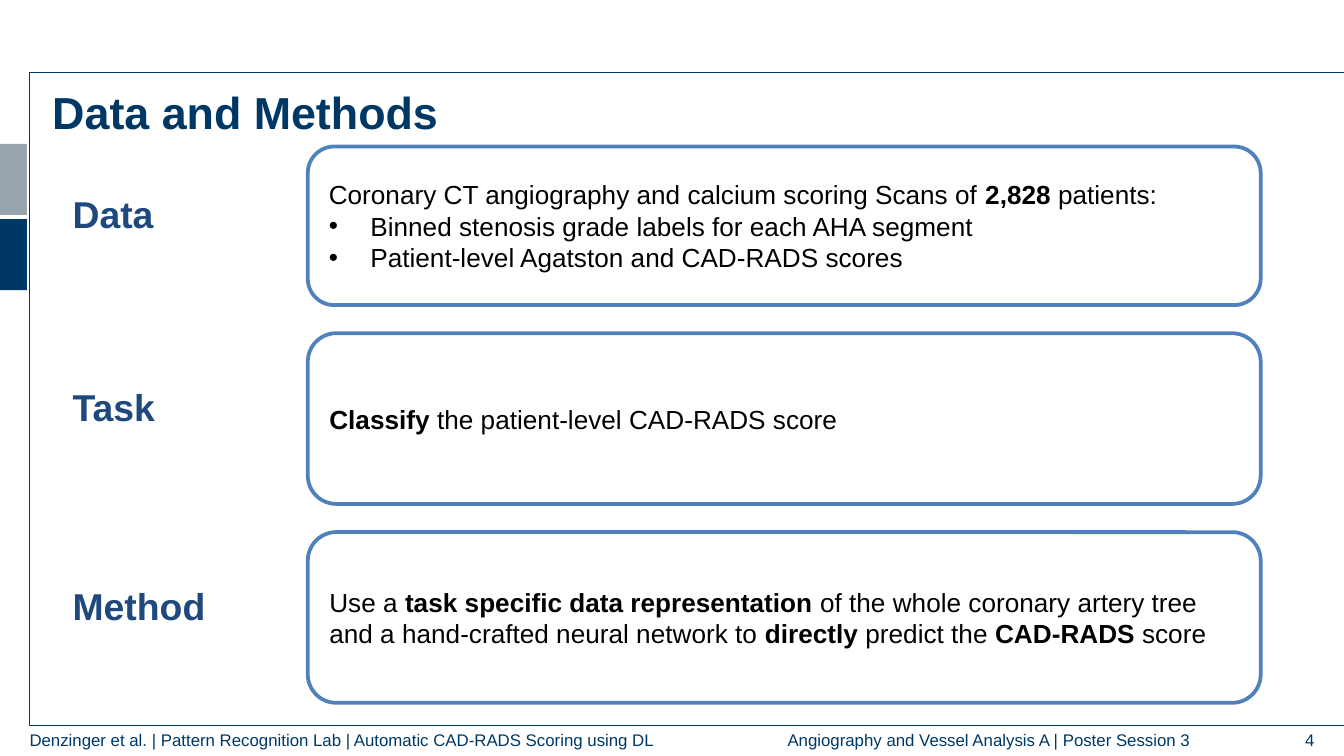
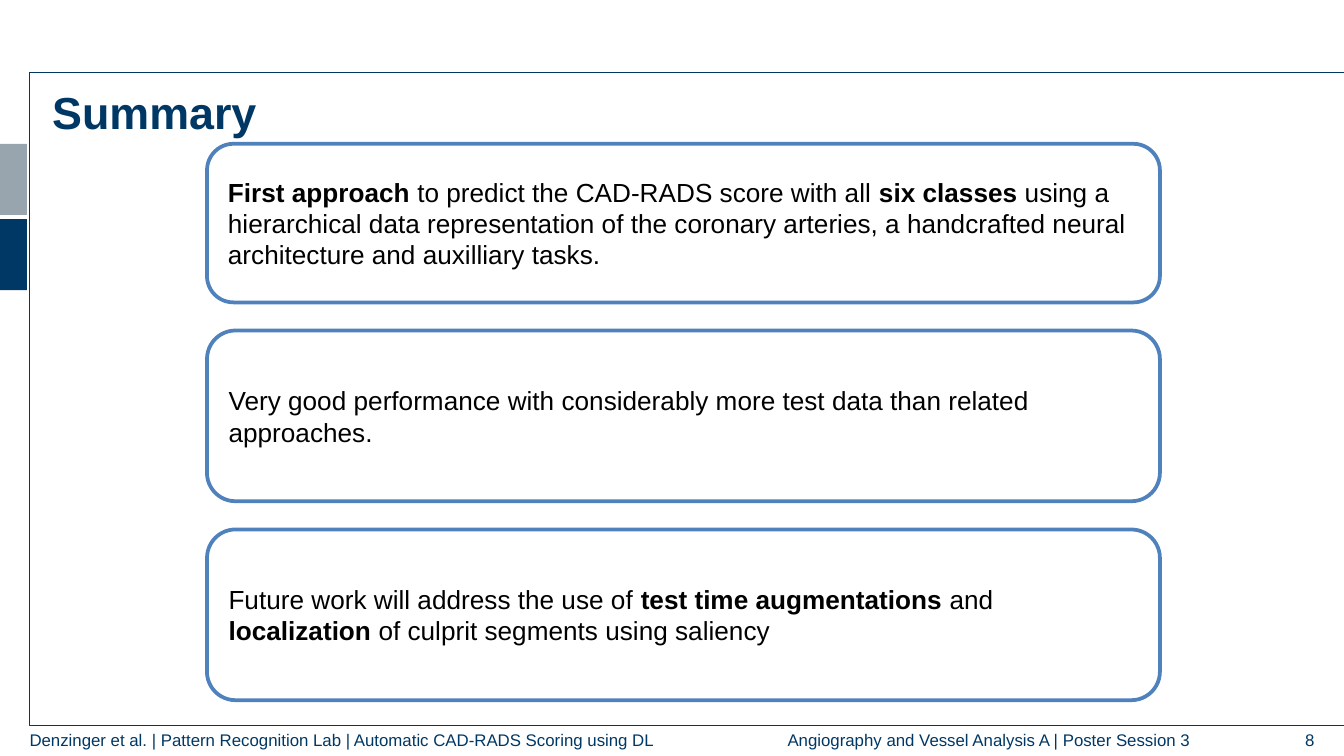
from dataclasses import dataclass

from lxml.etree import SubElement
from pptx import Presentation
from pptx.dml.color import RGBColor
from pptx.enum.shapes import MSO_SHAPE
from pptx.enum.text import MSO_ANCHOR, PP_ALIGN
from pptx.oxml.ns import qn
from pptx.util import Inches, Pt


@dataclass(frozen=True)
class Theme:
    font: str = "Arial"
    navy: str = "003865"
    grey: str = "98A4AE"
    label_blue: str = "1F497D"
    border_blue: str = "4F81BD"
    black: str = "000000"
    white: str = "FFFFFF"
    title_size: int = 24
    label_size: int = 20
    body_size: int = 14
    footer_size: int = 9
    frame_width: float = 0.75
    border_width: float = 2


SLIDE_WIDTH = Inches(10)
SLIDE_HEIGHT = SLIDE_WIDTH * 9 // 16
CARD_WIDTH = 7.09
CARD_HEIGHTS = (1.18, 1.27, 1.27)
CARD_GAP = 0.21
LABEL_HEIGHT = 0.51
BULLET = "• "
BULLET_INDENT = 0.31
FOOTER_LEFT = "Denzinger et al. | Pattern Recognition Lab | Automatic CAD-RADS Scoring using DL"
FOOTER_RIGHT = "Angiography and Vessel Analysis A | Poster Session 3"


def rgb(color):
    return RGBColor.from_string(color)


def add_bullet(p):
    pPr = p._p.get_or_add_pPr()
    indent = Inches(BULLET_INDENT)
    pPr.set("marL", str(indent))
    pPr.set("indent", str(-indent))
    SubElement(pPr, qn("a:buFont")).set("typeface", "Arial")
    SubElement(pPr, qn("a:buChar")).set("char", BULLET.strip())


class Deck:
    def __init__(self, theme):
        self.theme = theme
        self.prs = Presentation()
        self.prs.slide_width, self.prs.slide_height = SLIDE_WIDTH, SLIDE_HEIGHT
        self.slide = None

    def new_slide(self, title, number):
        self.slide = self.prs.slides.add_slide(self.prs.slide_layouts[6])
        self.side_bands()
        self.frame()
        self.footer(number)
        t = self.theme
        self.text(0.29, 0.58, 6.31, 0.32, title, margin=None,
                  size=t.title_size, color=t.navy, bold=True)

    def side_bands(self):
        for top, color in ((1.07, self.theme.grey), (1.63, self.theme.navy)):
            self.box(MSO_SHAPE.RECTANGLE, 0, top, 0.2, 0.53, color)

    def frame(self):
        """Draw the content outline, open towards the right edge."""
        left, top, right, bottom = (Inches(v) for v in (0.22, 0.54, 10, 5.4))
        builder = self.slide.shapes.build_freeform(right, top)
        builder.add_line_segments([(left, top), (left, bottom), (right, bottom)], close=False)
        sp = builder.convert_to_shape()
        sp.shadow.inherit = False
        sp.fill.background()
        self.outline(sp, self.theme.navy, self.theme.frame_width)

    def footer(self, number):
        t = self.theme
        for left, width, text, align in (
            (0.22, 5.5, FOOTER_LEFT, PP_ALIGN.LEFT),
            (5.86, 3.2, FOOTER_RIGHT, PP_ALIGN.LEFT),
            (9.09, 0.69, str(number), PP_ALIGN.RIGHT),
        ):
            self.text(left, 5.43, width, 0.15, text, align=align, anchor=MSO_ANCHOR.MIDDLE,
                      size=t.footer_size, color=t.navy)

    def outline(self, sp, color, width):
        sp.line.color.rgb = rgb(color)
        sp.line.width = Pt(width)

    def box(self, kind, left, top, width, height, fill):
        sp = self.slide.shapes.add_shape(kind, *map(Inches, (left, top, width, height)))
        sp.shadow.inherit = False
        sp.fill.solid()
        sp.fill.fore_color.rgb = rgb(fill)
        sp.line.fill.background()
        return sp

    def text(self, left, top, width, height, text, margin=0, wrap=True,
             align=PP_ALIGN.LEFT, anchor=MSO_ANCHOR.TOP, **style):
        """Add a text box; a margin of None keeps the default insets."""
        tb = self.slide.shapes.add_textbox(*map(Inches, (left, top, width, height)))
        tf = tb.text_frame
        if margin is not None:
            for side in ("left", "top", "right", "bottom"):
                setattr(tf, f"margin_{side}", Inches(margin))
        tf.word_wrap = wrap
        tf.vertical_anchor = anchor
        self.fill_text(tf, [text], align, **style)

    def fill_text(self, tf, lines, align, size, color, bold=False):
        """Write one paragraph per line; ** switches bold on and off."""
        for i, line in enumerate(lines):
            p = tf.add_paragraph() if i else tf.paragraphs[0]
            p.alignment = align
            if line.startswith(BULLET):
                add_bullet(p)
                line = line.removeprefix(BULLET)
            for j, part in enumerate(line.split("**")):
                if not part:
                    continue
                r = p.add_run()
                r.text = part
                font_format = {"name": self.theme.font, "size": Pt(size),
                               "bold": bold or j % 2 == 1}
                for name, value in font_format.items():
                    setattr(r.font, name, value)
                r.font.color.rgb = rgb(color)

    def card(self, left, top, height, lines):
        t = self.theme
        sp = self.box(MSO_SHAPE.ROUNDED_RECTANGLE, left, top, CARD_WIDTH, height, t.white)
        self.outline(sp, t.border_blue, t.border_width)
        tf = sp.text_frame
        tf.word_wrap = True
        tf.vertical_anchor = MSO_ANCHOR.MIDDLE
        self.fill_text(tf, lines, PP_ALIGN.LEFT, t.body_size, t.black)

    def card_stack(self, left, top, cards):
        """Stack (label, lines) cards, each label centred on its card."""
        t = self.theme
        for height, (label, lines) in zip(CARD_HEIGHTS, cards):
            self.card(left, top, height, lines)
            if label:
                self.text(0.54, top + (height - LABEL_HEIGHT) / 2, 1, LABEL_HEIGHT, label,
                          wrap=False, size=t.label_size, color=t.label_blue, bold=True)
            top += height + CARD_GAP


def main():
    deck = Deck(Theme())

    deck.new_slide("Data and Methods", 4)
    deck.card_stack(2.29, 1.09, [
        ("Data", [
            "Coronary CT angiography and calcium scoring Scans of **2,828 **patients:",
            "• Binned stenosis grade labels for each AHA segment",
            "• Patient-level Agatston and CAD-RADS scores",
        ]),
        ("Task", ["**Classify **the patient-level CAD-RADS score"]),
        ("Method", [
            "Use a **task specific data representation **of the whole coronary artery tree "
            "and a hand-crafted neural network to **directly **predict the **CAD-RADS** score",
        ]),
    ])

    deck.new_slide("Summary", 8)
    deck.card_stack(1.54, 1.07, [
        (None, [
            "**First approach **to predict the CAD-RADS score with all **six classes **using a "
            "hierarchical data representation of the coronary arteries, a handcrafted neural "
            "architecture and auxilliary tasks.",
        ]),
        (None, [
            "Very good performance with considerably more test data than related approaches.",
        ]),
        (None, [
            "Future work will address the use of **test time augmentations **and "
            "**localization **of culprit segments using saliency",
        ]),
    ])

    deck.prs.save("out.pptx")


if __name__ == "__main__":
    main()
